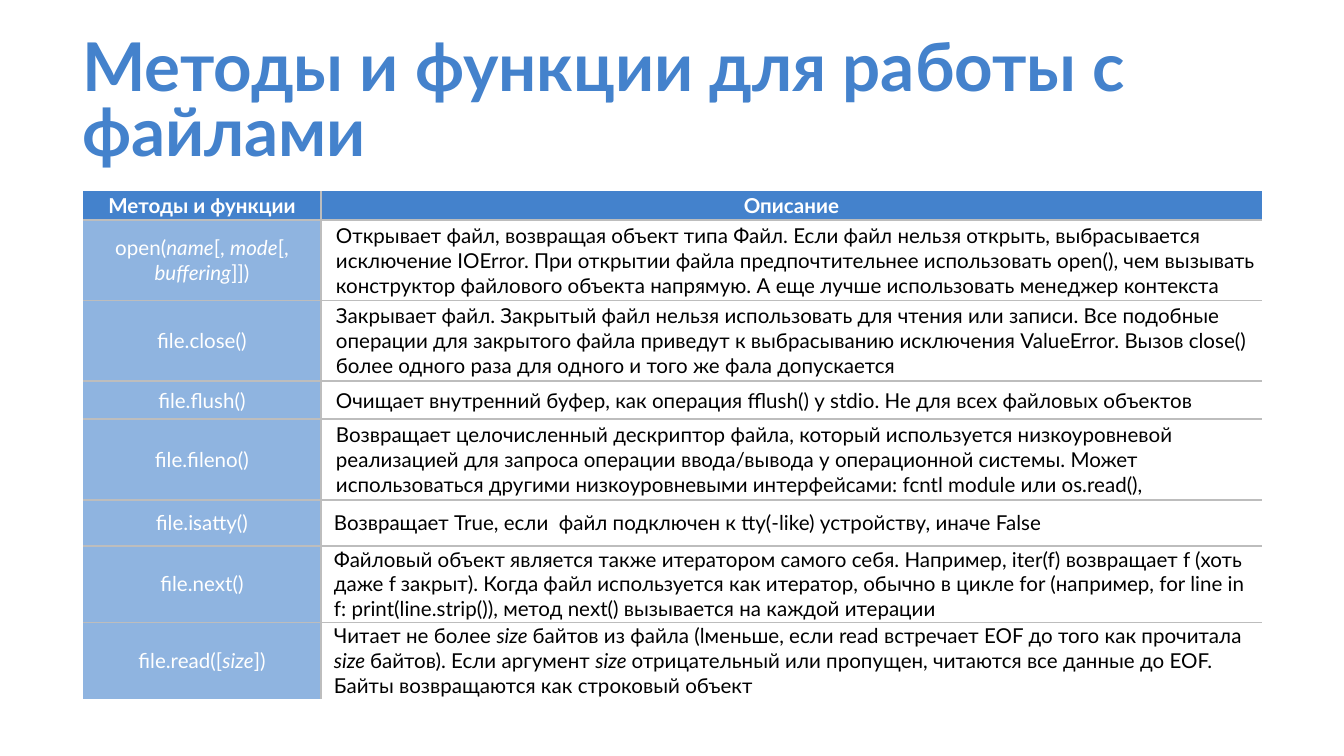
from lxml import etree
from pptx import Presentation
from pptx import util as u
from pptx.dml.color import RGBColor
from pptx.enum import text
from pptx.oxml.ns import qn

PX = 914400 / 134.4
FONT = "Lato"
COLORS = {
    "header": "4482CC",
    "method": "8FB4E0",
    "description": "FFFFFF",
    "border": "BDBDBD",
    "light": "FFFFFF",
    "dark": "000000",
}
TITLE = "Методы и функции для работы с файлами"
HEADER = ("Методы и функции", "Описание")
COLUMN_WIDTHS = (238, 941)
HEADER_HEIGHT = 29
HEADER_INSETS = (8, 0)
METHODS = [
    (80, 3, "open(*name*[, *mode*[, *buffering*]])",
     "Открывает файл, возвращая объект типа Файл. Если файл нельзя открыть, "
     "выбрасывается исключение IOError. При открытии файла предпочтительнее "
     "использовать open(), чем вызывать конструктор файлового объекта напрямую. "
     "А еще лучше использовать менеджер контекста"),
    (80, 3, "file.close()",
     "Закрывает файл. Закрытый файл нельзя использовать для чтения или записи. "
     "Все подобные операции для закрытого файла приведут к выбрасыванию исключения "
     "ValueError. Вызов close() более одного раза для одного и того же фала допускается"),
    (38, 3, "file.flush()",
     "Очищает внутренний буфер, как операция fflush() у stdio. "
     "Не для всех файловых объектов"),
    (80, 3, "file.fileno()",
     "Возвращает целочисленный дескриптор файла, который используется низкоуровневой "
     "реализацией для запроса операции ввода/вывода у операционной системы. Может "
     "использоваться другими низкоуровневыми интерфейсами: fcntl module или os.read(),"),
    (46, 1, "file.isatty()",
     "Возвращает True, если  файл подключен к tty(-like) устройству, иначе False"),
    (76, 1, "file.next()",
     "Файловый объект является также итератором самого себя. Например, iter(f) "
     "возвращает f (хоть даже f закрыт). Когда файл используется как итератор, обычно "
     "в цикле for (например, for line in f: print(line.strip()), метод next() "
     "вызывается на каждой итерации"),
    (77, 1, "file.read([*size*])",
     "Читает не более *size *байтов из файла (lменьше, если read встречает EOF до того "
     "как прочитала *size *байтов). Если аргумент *size *отрицательный или пропущен, "
     "читаются все данные до EOF. Байты возвращаются как строковый объект"),
]


def px(value):
    """Turn pixels into EMU."""
    return u.Emu(round(value * PX))


def color(name):
    """Look up a named colour."""
    return RGBColor.from_string(COLORS[name])


def format_font(font, size, color_name, bold=False, italic=False):
    """Apply the slide's typeface with the given look."""
    font.name = FONT
    font.size = u.Pt(size)
    font.bold = bold
    font.italic = italic
    font.color.rgb = color(color_name)


def add_title(slide):
    """Place and format the title placeholder."""
    title = slide.shapes.title
    title.left, title.top, title.width, title.height = map(px, (69, 27, 1275, 156))
    frame = title.text_frame
    frame.text = TITLE
    frame.word_wrap = True
    frame.auto_size = text.MSO_AUTO_SIZE.NONE
    frame.vertical_anchor = text.MSO_ANCHOR.TOP
    frame.margin_left = frame.margin_right = px(13)
    frame.margin_top = frame.margin_bottom = px(13)
    paragraph = frame.paragraphs[0]
    paragraph.alignment = text.PP_ALIGN.LEFT
    paragraph.line_spacing = 0.8
    format_font(paragraph.runs[0].font, 36, "header", bold=True)


def set_borders(cell, visible_sides):
    """Draw the given sides of a cell and clear the others."""
    properties = cell._tc.get_or_add_tcPr()
    for side in "LRTB":
        line = etree.SubElement(properties, qn(f"a:ln{side}"), w=str(u.Pt(1)))
        if side in visible_sides:
            fill = etree.SubElement(line, qn("a:solidFill"))
            etree.SubElement(fill, qn("a:srgbClr"), val=COLORS["border"])
        else:
            etree.SubElement(line, qn("a:noFill"))


def fill_cell(cell, content, fill, font_color, insets, centered=True, bold=False):
    """Write a cell, with italics between asterisks."""
    cell.fill.solid()
    cell.fill.fore_color.rgb = color(fill)
    cell.vertical_anchor = text.MSO_ANCHOR.MIDDLE
    cell.margin_left = cell.margin_right = px(insets[0])
    cell.margin_top = cell.margin_bottom = px(insets[1])
    paragraph = cell.text_frame.paragraphs[0]
    if centered:
        paragraph.alignment = text.PP_ALIGN.CENTER
    else:
        paragraph.alignment = text.PP_ALIGN.LEFT
        indent = paragraph._p.get_or_add_pPr()
        indent.set("marL", str(px(12)))
        indent.set("indent", "0")
    for index, part in enumerate(content.split("*")):
        run = paragraph.add_run()
        run.text = part
        format_font(run.font, 11, font_color, bold, italic=index % 2 == 1)


def add_methods_table(slide):
    """Build the table of file methods with inner borders only."""
    heights = [HEADER_HEIGHT] + [method[0] for method in METHODS]
    frame = slide.shapes.add_table(
        len(heights), len(COLUMN_WIDTHS),
        px(83), px(191), px(sum(COLUMN_WIDTHS)), px(sum(heights)))
    table = frame.table
    table.first_row = table.horz_banding = False
    for column, width in zip(table.columns, COLUMN_WIDTHS):
        column.width = px(width)
    for index, (row, height) in enumerate(zip(table.rows, heights)):
        row.height = px(height)
        sides = ("T" if index > 0 else "") + ("B" if index < len(heights) - 1 else "")
        for cell, inner_side in zip(row.cells, "RL"):
            set_borders(cell, sides + inner_side)
    for column, label in enumerate(HEADER):
        fill_cell(table.cell(0, column), label, "header", "light", HEADER_INSETS, bold=True)
    for row, (_, inset, method, description) in enumerate(METHODS, start=1):
        insets = (inset, inset)
        fill_cell(table.cell(row, 0), method, "method", "light", insets)
        fill_cell(table.cell(row, 1), description, "description", "dark", insets, centered=False)


def main():
    """Build and save the slide."""
    presentation = Presentation()
    presentation.slide_width = px(1344)
    presentation.slide_height = px(756)
    slide = presentation.slides.add_slide(presentation.slide_layouts[5])
    add_methods_table(slide)
    add_title(slide)
    presentation.save("out.pptx")


if __name__ == "__main__":
    main()
